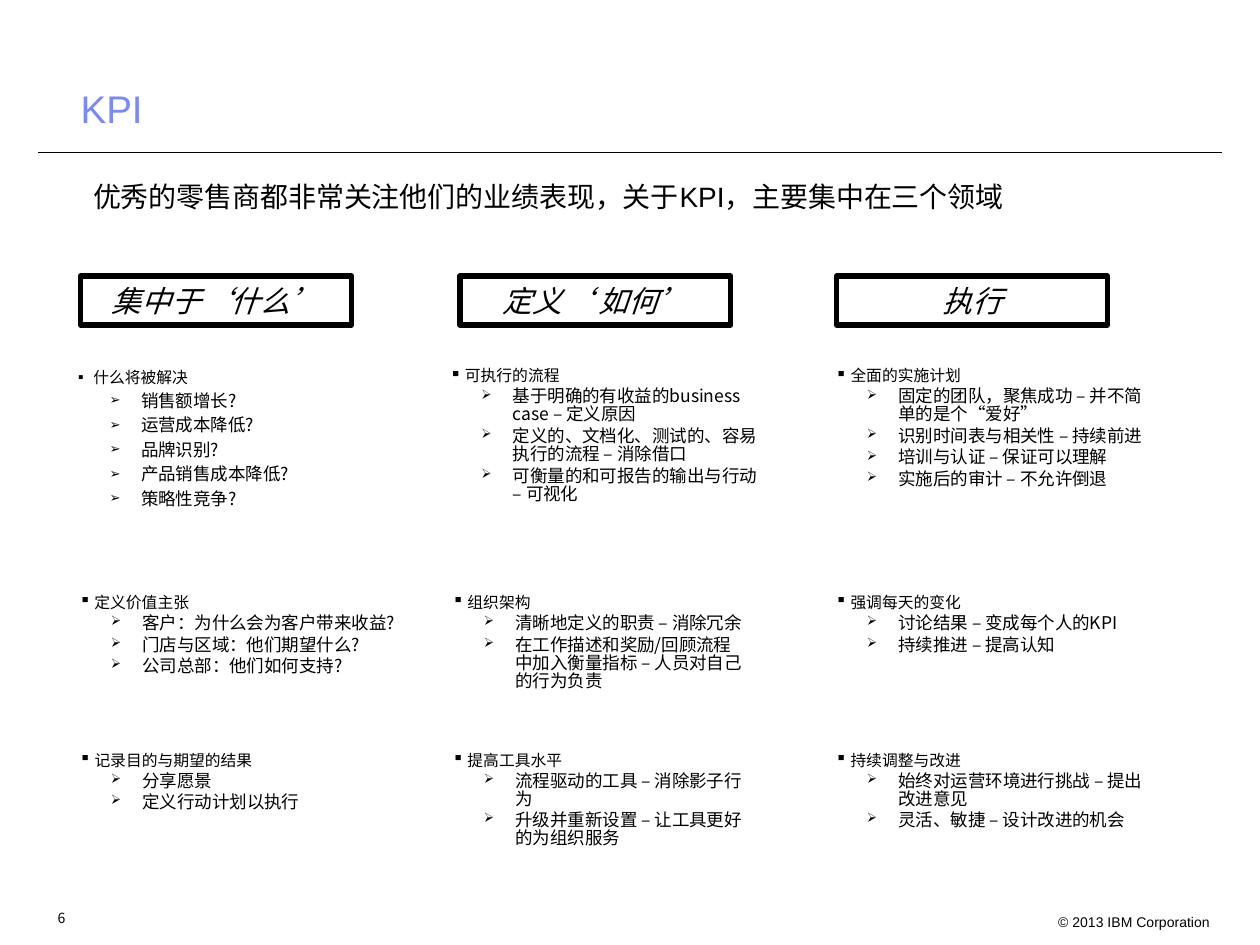
from lxml import etree
from pptx import Presentation
from pptx.dml.color import RGBColor
from pptx.enum.shapes import MSO_CONNECTOR as CONN, MSO_SHAPE as SHAPE
from pptx.enum.text import MSO_ANCHOR as ANCHOR, PP_ALIGN as ALIGN
from pptx.oxml.ns import qn
from pptx.util import Inches, Pt

BLACK = RGBColor(0, 0, 0)
BLUE = RGBColor(0x78, 0x89, 0xFB)
CJK = "Noto Sans CJK SC"


def style(para, size, name, color=BLACK, italic=False):
    """Format every run of a paragraph, with the CJK font for Chinese."""
    for run in para.runs:
        font = run.font
        font.size, font.name, font.italic = Pt(size), name, italic
        font.color.rgb = color
        ea = etree.SubElement(run._r.get_or_add_rPr(), qn("a:ea"))
        ea.set("typeface", CJK)


def fill_list(frame, lines, first, rest):
    """Write a heading bullet and its sub-bullets, with line heights in points."""
    frame.word_wrap = True
    frame.text = "\n".join(lines)
    for i, para in enumerate(frame.paragraphs):
        left, hang, mark, scale, size = (
            (0.57, -0.25, "➢", 75, 10) if i else (0.19, -0.12, "▪", 100, 9))
        para.level = 1 if i else 0
        para.alignment = ALIGN.LEFT
        para.line_spacing = Pt(rest if i else first)
        para.space_before = Pt(2 if i else 0)
        props = para._p.get_or_add_pPr()
        props.set("marL", str(Inches(left)))
        props.set("indent", str(Inches(hang)))
        tint = etree.SubElement(props, qn("a:buClr"))
        etree.SubElement(tint, qn("a:srgbClr")).set("val", str(BLACK))
        etree.SubElement(props, qn("a:buSzPct")).set("val", str(scale * 1000))
        etree.SubElement(props, qn("a:buChar")).set("char", mark)
        style(para, size, CJK)


prs = Presentation()
prs.slide_width, prs.slide_height = Inches(10), Inches(7.5)
slide = prs.slides.add_slide(prs.slide_layouts[1])
shapes = slide.shapes

# Title
title = shapes.title
title.left, title.top = Inches(0.54), Inches(0.5)
title.width, title.height = Inches(6.25), Inches(0.6)
frame = title.text_frame
frame.text = "KPI"
frame.vertical_anchor = ANCHOR.BOTTOM
frame.paragraphs[0].alignment = ALIGN.LEFT
frame.paragraphs[0].line_spacing = 0.9
style(frame.paragraphs[0], 22, "Arial", BLUE)

# Rule under the title
rule = shapes.add_connector(CONN.STRAIGHT, Inches(0.3), Inches(1.21),
                            Inches(9.7), Inches(1.21))
rule.line.color.rgb = BLACK
rule.line.width = Pt(0.75)
etree.SubElement(rule._element.spPr, qn("a:effectLst"))

# Lead sentence, page number and copyright line
notes = [
    (0.64, 1.38, 8.44, 0.37, 16, "Arial",
     "优秀的零售商都非常关注他们的业绩表现，关于KPI，主要集中在三个领域"),
    (0.36, 7.17, 0.74, 0.28, 8, CJK, "6"),
    (8.3, 7.2, 1.6, 0.23, 8, "Arial", "© 2013 IBM Corporation"),
]
for x, y, w, h, size, name, text in notes:
    frame = shapes.add_textbox(Inches(x), Inches(y), Inches(w), Inches(h)).text_frame
    frame.word_wrap = True
    frame.text = text
    style(frame.paragraphs[0], size, name)

# Column headings
for x, text in [(0.64, "集中于‘什么’"), (3.65, "定义‘ 如何’"), (6.64, "执行")]:
    box = shapes.add_shape(SHAPE.RECTANGLE, Inches(x), Inches(2.19),
                           Inches(2.15), Inches(0.39))
    box.shadow.inherit = False
    box.fill.background()
    box.line.color.rgb = BLACK
    box.line.width = Pt(3)
    frame = box.text_frame
    frame.margin_left = frame.margin_right = Inches(0.05)
    frame.margin_top = frame.margin_bottom = Inches(0.05)
    frame.vertical_anchor = ANCHOR.MIDDLE
    frame.text = text
    frame.paragraphs[0].alignment = ALIGN.CENTER
    style(frame.paragraphs[0], 17, "Arial", italic=True)

# First list, in the body placeholder
body = slide.placeholders[1]
body.left, body.top = Inches(0.45), Inches(2.85)
body.width, body.height = Inches(2.52), Inches(1.81)
fill_list(body.text_frame,
          ["什么将被解决", "销售额增长?", "运营成本降低?", "品牌识别?",
           "产品销售成本降低?", "策略性竞争?"], 12, 12)

# Other lists: left, top, width, height, lines
lists = [
    (3.5, 2.93, 2.55, 1.69,
     ["可执行的流程", "基于明确的有收益的business case – 定义原因",
      "定义的、文档化、测试的、容易执行的流程 – 消除借口",
      "可衡量的和可报告的输出与行动 – 可视化"]),
    (6.56, 2.93, 2.58, 1.84,
     ["全面的实施计划", "固定的团队，聚焦成功 – 并不简单的是个“爱好”",
      "识别时间表与相关性 – 持续前进", "培训与认证 – 保证可以理解",
      "实施后的审计 – 不允许倒退"]),
    (0.56, 4.73, 2.53, 1.2,
     ["定义价值主张", "客户：为什么会为客户带来收益?",
      "门店与区域：他们期望什么?", "公司总部：他们如何支持?"]),
    (3.52, 4.73, 2.39, 1.2,
     ["组织架构", "清晰地定义的职责 – 消除冗余",
      "在工作描述和奖励/回顾流程中加入衡量指标 – 人员对自己的行为负责"]),
    (6.56, 4.73, 2.61, 1.2,
     ["强调每天的变化", "讨论结果 – 变成每个人的KPI", "持续推进 – 提高认知"]),
    (0.56, 5.98, 2.39, 1.2,
     ["记录目的与期望的结果", "分享愿景", "定义行动计划以执行"]),
    (3.52, 5.98, 2.39, 1.2,
     ["提高工具水平", "流程驱动的工具 – 消除影子行为",
      "升级并重新设置 – 让工具更好的为组织服务"]),
    (6.56, 5.98, 2.61, 1.2,
     ["持续调整与改进", "始终对运营环境进行挑战 – 提出改进意见",
      "灵活、敏捷 – 设计改进的机会"]),
]
for x, y, w, h, lines in lists:
    frame = shapes.add_textbox(Inches(x), Inches(y), Inches(w), Inches(h)).text_frame
    frame.margin_left = frame.margin_right = 0
    frame.margin_top = frame.margin_bottom = 0
    fill_list(frame, lines, 9, 10.3)

prs.save("out.pptx")
